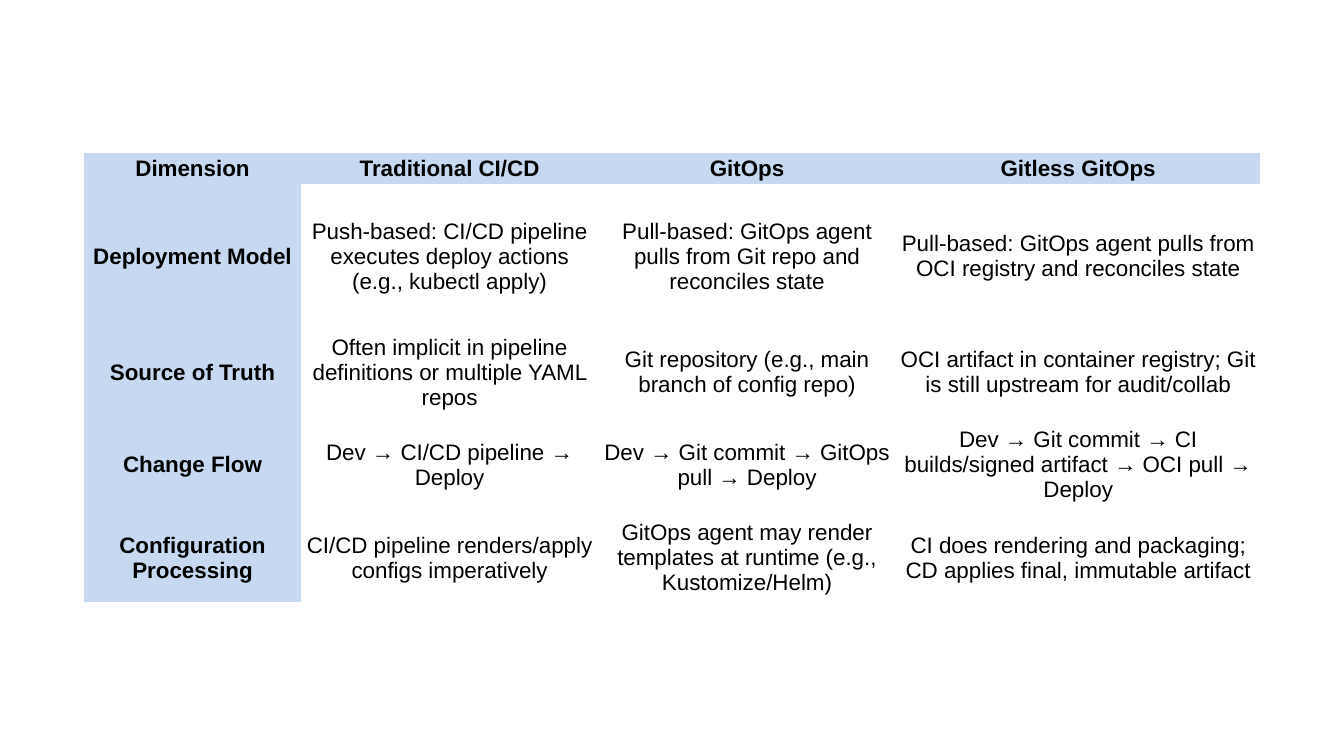
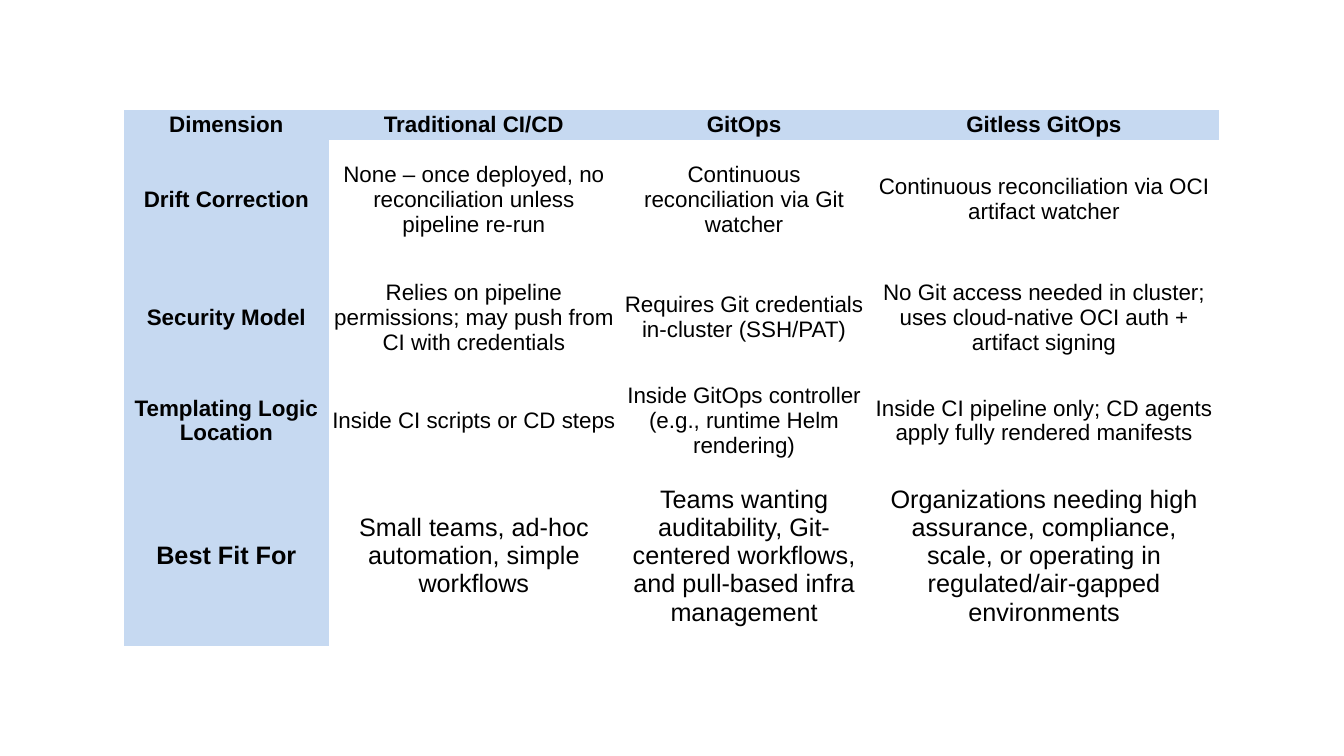
"""Build two slides comparing delivery approaches in tables."""
from dataclasses import dataclass

from pptx import Presentation
from pptx import util as u
from pptx.dml import color
from pptx.enum import text

COLORS = {"head": "C6D9F1", "ink": "000000"}
FONT = "Arial"
PLAIN = "{2D5ABB26-0587-4C30-8999-92F81FD0307C}"
HEADS = ("Dimension", "Traditional CI/CD", "GitOps", "Gitless GitOps")


@dataclass(frozen=True)
class Row:
    high: float
    cells: tuple[str, ...]
    size: int = 16
    side: float = 0.03
    edge: float = 0.01


@dataclass(frozen=True)
class Grid:
    left: float
    top: float
    wide: tuple[float, ...]
    rows: tuple[Row, ...]


GRIDS = (
    Grid(0.83, 1.52, (2.16, 2.94, 2.96, 3.61), (
        Row(0.31, HEADS),
        Row(1.43, (
            "Deployment Model",
            "Push-based: CI/CD pipeline executes deploy actions (e.g., kubectl apply)",
            "Pull-based: GitOps agent pulls from Git repo and reconciles state",
            "Pull-based: GitOps agent pulls from OCI registry and reconciles state",
        )),
        Row(0.87, (
            "Source of Truth",
            "Often implicit in pipeline definitions or multiple YAML repos",
            "Git repository (e.g., main branch of config repo)",
            "OCI artifact in container registry; Git is still upstream for audit/collab",
        )),
        Row(0.97, (
            "Change Flow",
            "Dev → CI/CD pipeline → Deploy",
            "Dev → Git commit → GitOps pull → Deploy",
            "Dev → Git commit → CI builds/signed artifact → OCI pull → Deploy",
        )),
        Row(0.87, (
            "Configuration Processing",
            "CI/CD pipeline renders/apply configs imperatively",
            "GitOps agent may render templates at runtime (e.g., Kustomize/Helm)",
            "CI does rendering and packaging; CD applies final, immutable artifact",
        )),
    )),
    Grid(1.23, 1.09, (2.03, 2.88, 2.48, 3.47), (
        Row(0.3, HEADS),
        Row(1.18, (
            "Drift Correction",
            "None – once deployed, no reconciliation unless pipeline re-run",
            "Continuous reconciliation via Git watcher",
            "Continuous reconciliation via OCI artifact watcher",
        )),
        Row(1.16, (
            "Security Model",
            "Relies on pipeline permissions; may push from CI with credentials",
            "Requires Git credentials in-cluster (SSH/PAT)",
            "No Git access needed in cluster; uses cloud-native OCI auth + artifact signing",
        )),
        Row(0.89, (
            "Templating Logic Location",
            "Inside CI scripts or CD steps",
            "Inside GitOps controller (e.g., runtime Helm rendering)",
            "Inside CI pipeline only; CD agents apply fully rendered manifests",
        )),
        Row(1.79, (
            "Best Fit For",
            "Small teams, ad-hoc automation, simple workflows",
            "Teams wanting auditability, Git-centered workflows, and pull-based infra management",
            "Organizations needing high assurance, compliance, scale, or operating in "
            "regulated/air-gapped environments",
        ), size=18, side=0.1, edge=0.05),
    )),
)


def write(frame, words: str, *, size: int, bold: bool) -> None:
    para = frame.paragraphs[0]
    para.alignment = text.PP_ALIGN.CENTER
    run = para.add_run()
    run.text = words
    run.font.name = FONT
    run.font.size = u.Pt(size)
    run.font.bold = bold
    run.font.color.rgb = color.RGBColor.from_string(COLORS["ink"])


def fill_cell(cell, words: str, row: Row, head: bool) -> None:
    cell.vertical_anchor = text.MSO_ANCHOR.MIDDLE
    cell.margin_left = cell.margin_right = u.Inches(row.side)
    cell.margin_top = cell.margin_bottom = u.Inches(row.edge)
    if head:
        cell.fill.solid()
        cell.fill.fore_color.rgb = color.RGBColor.from_string(COLORS["head"])
    else:
        cell.fill.background()
    write(cell.text_frame, words, size=row.size, bold=head)


def draw_grid(slide, grid: Grid) -> None:
    high = sum(row.high for row in grid.rows)
    table = slide.shapes.add_table(
        len(grid.rows), len(grid.wide), u.Inches(grid.left), u.Inches(grid.top),
        u.Inches(sum(grid.wide)), u.Inches(high)).table
    table.horz_banding = False
    table._tbl.tblPr.find("{*}tableStyleId").text = PLAIN
    for col, wide in zip(table.columns, grid.wide):
        col.width = u.Inches(wide)
    for r, row in enumerate(grid.rows):
        table.rows[r].height = u.Inches(row.high)
        for c, words in enumerate(row.cells):
            fill_cell(table.cell(r, c), words, row, r == 0 or c == 0)


def main() -> None:
    deck = Presentation()
    deck.slide_width = u.Inches(13.33)
    deck.slide_height = u.Inches(7.5)
    for grid in GRIDS:
        draw_grid(deck.slides.add_slide(deck.slide_layouts[6]), grid)
    deck.save("out.pptx")


if __name__ == "__main__":
    main()
